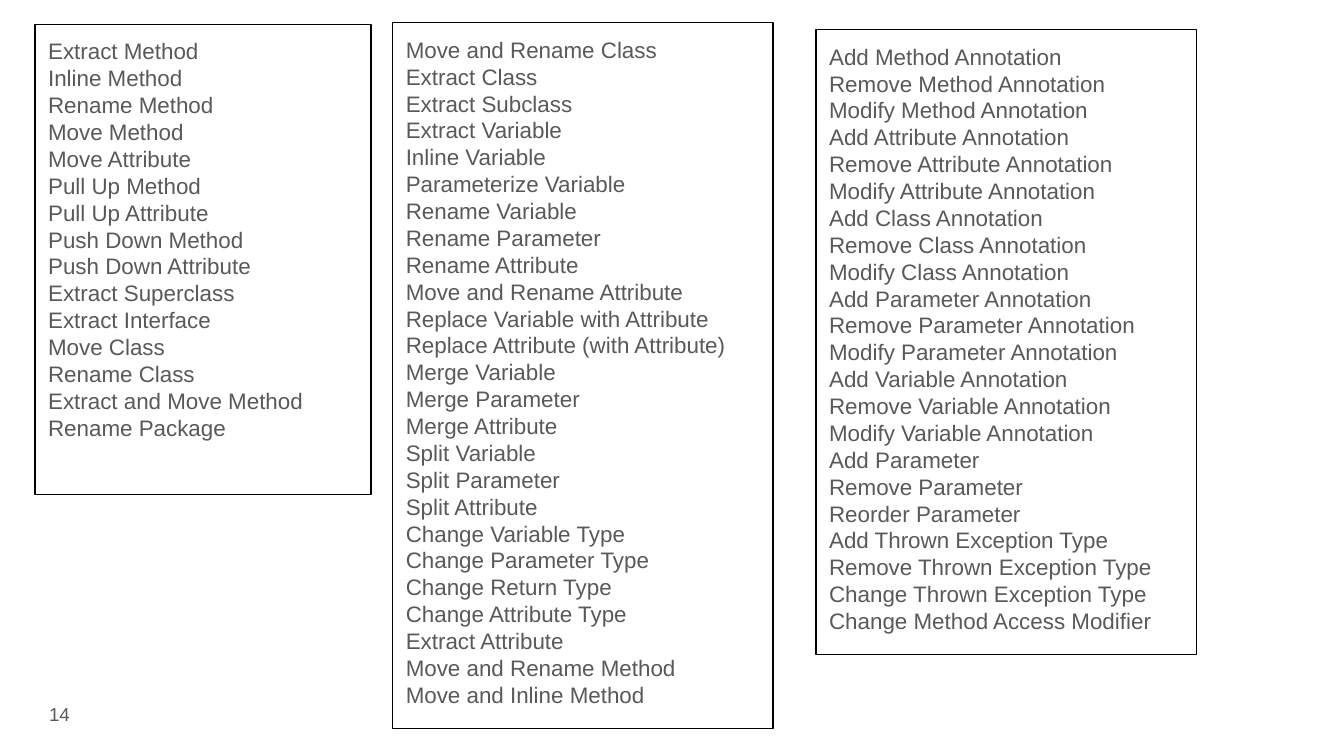
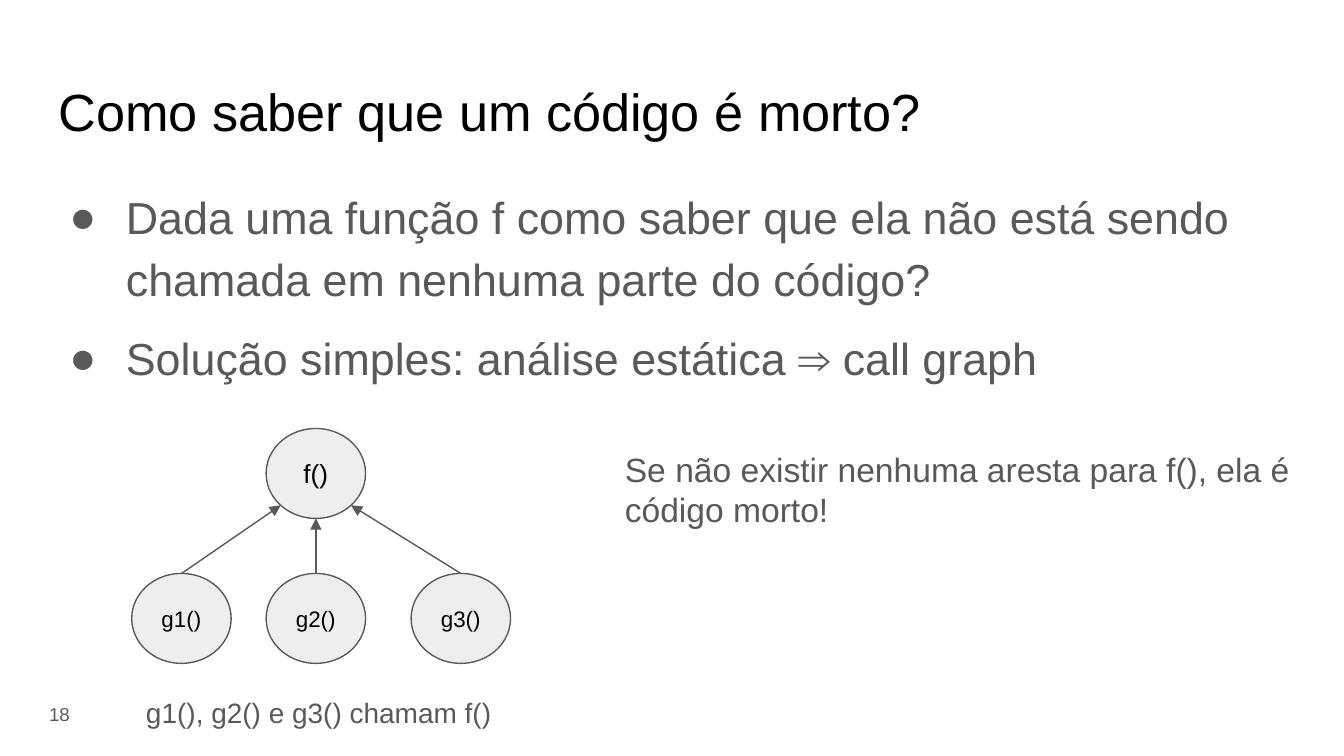
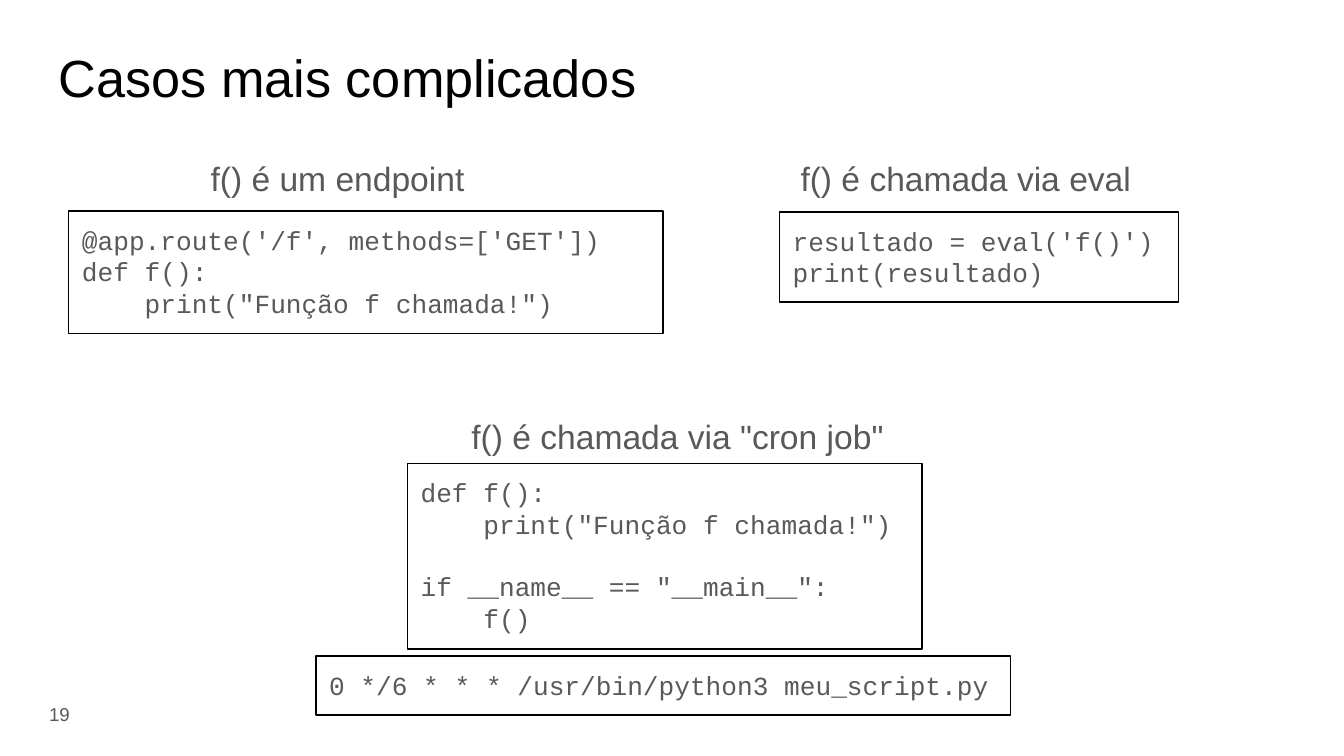
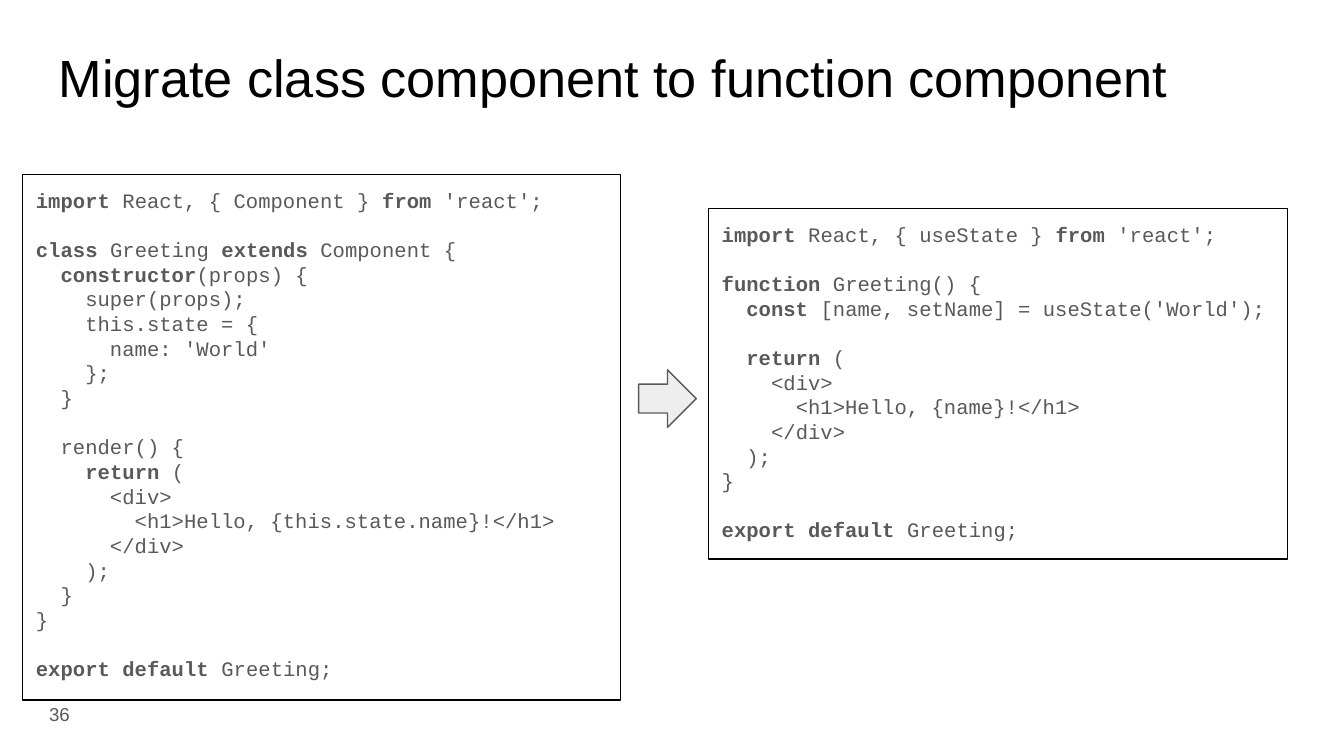
from pptx import Presentation
from pptx.dml.color import RGBColor
from pptx.enum.shapes import MSO_CONNECTOR, MSO_SHAPE
from pptx.enum.text import MSO_ANCHOR, MSO_AUTO_SIZE, PP_ALIGN
from pptx.oxml.ns import qn
from pptx.util import Cm, Pt
from lxml.etree import SubElement

BLACK = RGBColor(0x00, 0x00, 0x00)
GRAY = RGBColor(0x59, 0x59, 0x59)
LIGHT = RGBColor(0xEE, 0xEE, 0xEE)
SANS = "Arial"
MONO = "Courier New"
INSET = Cm(0.25)
LINE_WIDTH = Pt(0.75)
LINE_HEIGHT = 1.2
TITLE_ONLY, BLANK = 5, 6

METHOD_REFACTORINGS = """Extract Method
Inline Method
Rename Method
Move Method
Move Attribute
Pull Up Method
Pull Up Attribute
Push Down Method
Push Down Attribute
Extract Superclass
Extract Interface
Move Class
Rename Class
Extract and Move Method
Rename Package"""

VARIABLE_REFACTORINGS = """Move and Rename Class
Extract Class
Extract Subclass
Extract Variable
Inline Variable
Parameterize Variable
Rename Variable
Rename Parameter
Rename Attribute
Move and Rename Attribute
Replace Variable with Attribute
Replace Attribute (with Attribute)
Merge Variable
Merge Parameter
Merge Attribute
Split Variable
Split Parameter
Split Attribute
Change Variable Type
Change Parameter Type
Change Return Type
Change Attribute Type
Extract Attribute
Move and Rename Method
Move and Inline Method"""

ANNOTATION_REFACTORINGS = """Add Method Annotation
Remove Method Annotation
Modify Method Annotation
Add Attribute Annotation
Remove Attribute Annotation
Modify Attribute Annotation
Add Class Annotation
Remove Class Annotation
Modify Class Annotation
Add Parameter Annotation
Remove Parameter Annotation
Modify Parameter Annotation
Add Variable Annotation
Remove Variable Annotation
Modify Variable Annotation
Add Parameter
Remove Parameter
Reorder Parameter
Add Thrown Exception Type
Remove Thrown Exception Type
Change Thrown Exception Type
Change Method Access Modifier"""

ENDPOINT_CODE = """@app.route('/f', methods=['GET'])
def f():
    print("Função f chamada!")"""

EVAL_CODE = """resultado = eval('f()')
print(resultado)"""

SCRIPT_CODE = """def f():
    print("Função f chamada!")

if __name__ == "__main__":
    f()"""

CRON_LINE = "0 */6 * * * /usr/bin/python3 meu_script.py"

# Backticks enclose the bold keywords.
CLASS_COMPONENT = """`import` React, { Component } `from` 'react';

`class` Greeting `extends` Component {
  `constructor`(props) {
    super(props);
    this.state = {
      name: 'World'
    };
  }

  render() {
    `return` (
      <div>
        <h1>Hello, {this.state.name}!</h1>
      </div>
    );
  }
}

`export default` Greeting;"""

FUNCTION_COMPONENT = """`import` React, { useState } `from` 'react';

`function` Greeting() {
  `const` [name, setName] = useState('World');

  `return` (
    <div>
      <h1>Hello, {name}!</h1>
    </div>
  );
}

`export default` Greeting;"""


def set_font(para, size, color=GRAY, name=SANS):
    para.font.size = Pt(size)
    para.font.name = name
    para.font.color.rgb = color


def prepare_frame(shape, anchor=MSO_ANCHOR.TOP):
    frame = shape.text_frame
    frame.word_wrap = True
    frame.auto_size = MSO_AUTO_SIZE.NONE
    frame.vertical_anchor = anchor
    frame.margin_left = frame.margin_right = INSET
    frame.margin_top = frame.margin_bottom = INSET
    return frame


def write_lines(frame, text, size, color=GRAY, name=SANS, align=PP_ALIGN.LEFT):
    """Write one paragraph a line; an empty line becomes space before the next."""
    para, gap = frame.paragraphs[0], 0
    for index, line in enumerate(text.split("\n")):
        if not line:
            gap += size * LINE_HEIGHT
            continue
        if index:
            para = frame.add_paragraph()
        para.alignment = align
        if gap:
            para.space_before = Pt(gap)
            gap = 0
        for part, words in enumerate(line.split("`")):
            if words:
                span = para.add_run()
                span.text = words
                if part % 2:
                    span.font.bold = True
        set_font(para, size, color, name)


def add_text(page, box, text, size, align=PP_ALIGN.LEFT, anchor=MSO_ANCHOR.TOP):
    shape = page.shapes.add_textbox(*map(Cm, box))
    write_lines(prepare_frame(shape, anchor), text, size, align=align)


def add_outlined(page, kind, box, line, fill=None):
    shape = page.shapes.add_shape(kind, *map(Cm, box))
    shape.shadow.inherit = False
    if fill is None:
        shape.fill.background()
    else:
        shape.fill.solid()
        shape.fill.fore_color.rgb = fill
    shape.line.color.rgb = line
    shape.line.width = LINE_WIDTH
    return shape


def add_framed_text(page, box, text, size, name=SANS):
    frame = add_outlined(page, MSO_SHAPE.RECTANGLE, box, BLACK)
    write_lines(prepare_frame(frame), text, size, name=name)


def add_page(deck, number, title=None, title_top=0.61):
    page = deck.slides.add_slide(deck.slide_layouts[TITLE_ONLY if title else BLANK])
    if title:
        holder = page.shapes.title
        holder.left, holder.top = Cm(0.86), Cm(title_top)
        holder.width, holder.height = Cm(23.67), Cm(1.6)
        write_lines(prepare_frame(holder), title, 28, BLACK)
    add_text(page, (0.05, 12.95, 1.52, 1.09), number, 10,
             PP_ALIGN.RIGHT, MSO_ANCHOR.MIDDLE)
    return page


def add_bullets(page, box, items):
    frame = prepare_frame(page.shapes.add_textbox(*map(Cm, box)))
    for index, item in enumerate(items):
        para = frame.add_paragraph() if index else frame.paragraphs[0]
        para.text = item
        properties = para._p.get_or_add_pPr()
        properties.set("marL", str(Cm(1.27)))
        properties.set("indent", str(Cm(-1.07)))
        color = SubElement(properties, qn("a:buClr"))
        SubElement(color, qn("a:srgbClr"), val=str(GRAY))
        SubElement(properties, qn("a:buFont"), typeface=SANS)
        SubElement(properties, qn("a:buChar"), char="●")
        para.line_spacing = 1.14
        if index:
            para.space_before = Pt(10)
        set_font(para, 24)


def add_arrow(page, start, end):
    arrow = page.shapes.add_connector(MSO_CONNECTOR.STRAIGHT, *map(Cm, start + end))
    arrow.line.color.rgb = GRAY
    arrow.line.width = LINE_WIDTH
    SubElement(arrow.line._get_or_add_ln(), qn("a:tailEnd"), type="triangle")
    SubElement(arrow._element.spPr, qn("a:effectLst"))


def add_call_graph(page, left, top):
    """Draw f() above its three callers, with an arrow from each caller."""
    width, height, callee_x, row_drop = 1.88, 1.7, 2.54, 2.74

    def add_node(x, y, label, size):
        node = add_outlined(page, MSO_SHAPE.OVAL, (x, y, width, height), GRAY, LIGHT)
        write_lines(prepare_frame(node, MSO_ANCHOR.MIDDLE), label, size,
                    BLACK, align=PP_ALIGN.CENTER)

    add_node(left + callee_x, top, "f()", 14)
    callee_center = left + callee_x + width / 2
    diagonal = 0.5 ** 0.5
    callers = (("g1()", 0, -diagonal), ("g2()", callee_x, 0), ("g3()", 5.28, diagonal))
    for label, offset, side in callers:
        add_node(left + offset, top + row_drop, label, 12)
        drop = (1 - side ** 2) ** 0.5
        add_arrow(page, (left + offset + width / 2, top + row_drop),
                  (callee_center + side * width / 2, top + height / 2 * (1 + drop)))


def add_headed_code(page, box, code, heading, heading_box):
    """Frame the code; heading_box starts relative to the corner of box."""
    left, top, width, height = heading_box
    add_framed_text(page, box, code, 14, MONO)
    add_text(page, (box[0] + left, box[1] + top, width, height), heading, 18)


def add_refactorings_page(deck):
    page = add_page(deck, "14")
    columns = (
        ((0.66, 0.46, 6.35, 8.89), METHOD_REFACTORINGS),
        ((7.42, 0.43, 7.19, 13.34), VARIABLE_REFACTORINGS),
        ((15.42, 0.56, 7.19, 11.81), ANNOTATION_REFACTORINGS),
    )
    for box, names in columns:
        add_framed_text(page, box, names, 12)


def add_dead_code_page(deck):
    page = add_page(deck, "18", "Como saber que um código é morto?", 1.24)
    add_bullets(page, (0.86, 3.2, 23.67, 3.38), (
        "Dada uma função f como saber que ela não está sendo chamada "
        "em nenhuma parte do código?",
        "Solução simples: análise estática ⇒ call graph",
    ))
    add_call_graph(page, 2.49, 8.1)
    add_text(page, (11.56, 8.23, 13.16, 2.06),
             "Se não existir nenhuma aresta para f(), ela é código morto!", 18)
    add_text(page, (2.51, 12.9, 7.92, 1.14), "g1(), g2() e g3() chamam f()", 15)


def add_hard_cases_page(deck):
    page = add_page(deck, "19", "Casos mais complicados")
    add_headed_code(page, (1.3, 3.99, 11.23, 2.31), ENDPOINT_CODE,
                    "f() é um endpoint", (2.43, -1.25, 5.56, 1.27))
    add_headed_code(page, (14.73, 4.01, 7.54, 1.7), EVAL_CODE,
                    "f() é chamada via eval", (0.15, -1.27, 7.11, 1.27))
    add_headed_code(page, (7.7, 8.76, 9.73, 3.51), SCRIPT_CODE,
                    'f() é chamada via "cron job"', (0.96, -1.14, 8.76, 1.27))
    add_framed_text(page, (5.97, 12.4, 13.13, 1.12), CRON_LINE, 14, MONO)


def add_migration_page(deck):
    page = add_page(deck, "36", "Migrate class component to function component")
    add_framed_text(page, (0.43, 3.3, 11.3, 9.93), CLASS_COMPONENT, 11, MONO)
    add_framed_text(page, (13.39, 3.94, 10.95, 6.63), FUNCTION_COMPONENT, 11, MONO)
    add_outlined(page, MSO_SHAPE.RIGHT_ARROW, (12.07, 6.99, 1.09, 1.09), GRAY, LIGHT)


def main():
    deck = Presentation()
    deck.slide_width, deck.slide_height = Cm(25.4), Cm(14.29)
    add_refactorings_page(deck)
    add_dead_code_page(deck)
    add_hard_cases_page(deck)
    add_migration_page(deck)
    deck.save("out.pptx")


if __name__ == "__main__":
    main()
